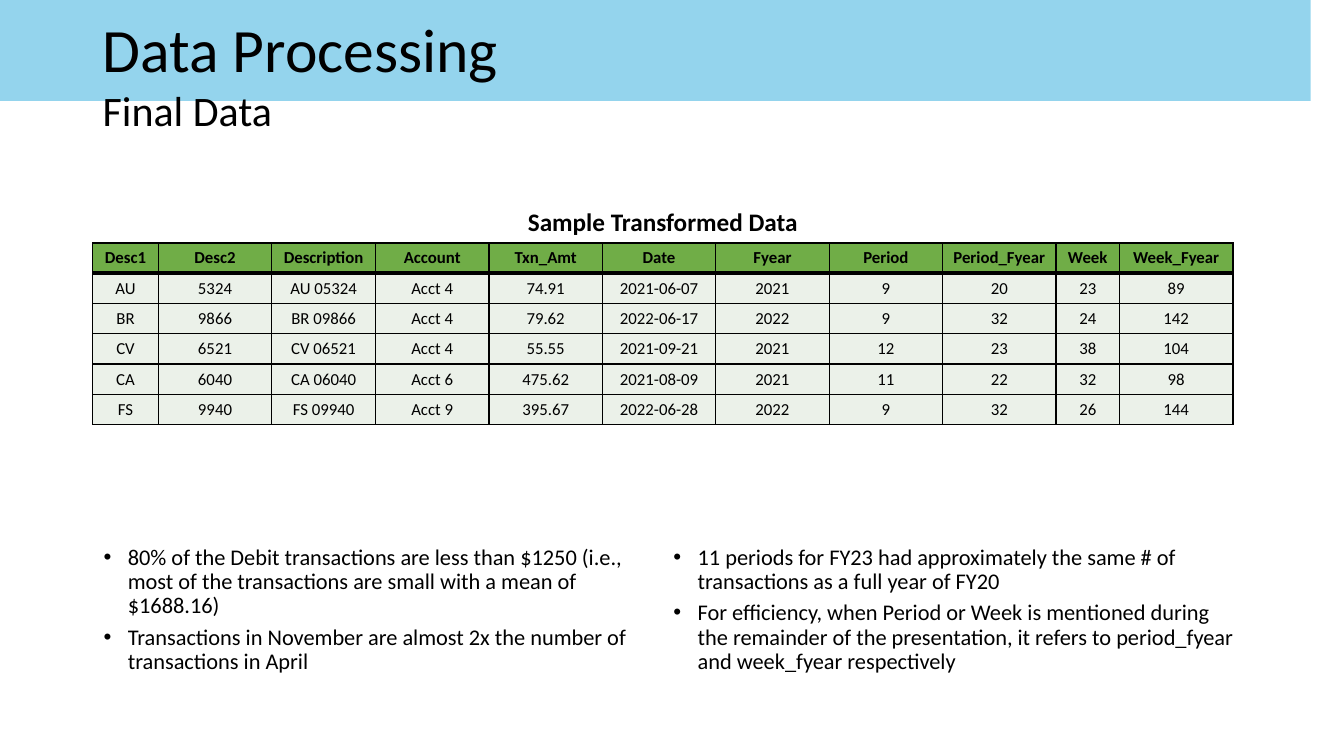
from dataclasses import dataclass

from lxml.etree import SubElement
from pptx import Presentation
from pptx.dml.color import RGBColor
from pptx.enum.text import MSO_ANCHOR, PP_ALIGN
from pptx.oxml.ns import qn
from pptx.util import Inches, Pt


@dataclass(frozen=True)
class Theme:
    font: str = "Calibri"
    ink: str = "000000"
    paper: str = "FFFFFF"
    wave: str = "67C3E6"
    head: str = "70AD47"
    body: str = "EBF1E9"
    title: int = 44
    subtitle: int = 30
    caption: int = 18
    note: int = 16
    cell: int = 12


@dataclass(frozen=True)
class Block:
    """A text box: place in inches, type size and spacing in points."""
    lines: tuple
    top: float
    height: float
    size: int
    before: int = 0
    anchor: MSO_ANCHOR = MSO_ANCHOR.TOP
    bullets: bool = False


@dataclass(frozen=True)
class Look:
    """Cell style: border widths in points, outer is the top and side colour."""
    size: int
    bold: bool = False
    fill: str = ""
    outer: str = "000000"
    top: int = 1
    bottom: int = 1


THEME = Theme()
LEFT, WIDTH = 0.92, 11.5
NOTES = (
    "80% of the Debit transactions are less than $1250 (i.e., most of the "
    "transactions are small with a mean of $1688.16)",
    "Transactions in November are almost 2x the number of transactions in April",
    "11 periods for FY23 had approximately the same # of transactions as a "
    "full year of FY20",
    "For efficiency, when Period or Week is mentioned during the remainder of "
    "the presentation, it refers to period_fyear and week_fyear respectively",
)
BLOCKS = (
    Block(("Data Processing",), 0.18, 0.68, THEME.title, anchor=MSO_ANCHOR.MIDDLE),
    Block(NOTES, 5.37, 1.55, THEME.note, before=5, bullets=True),
    Block(("Final Data",), 0.85, 0.51, THEME.subtitle, before=10),
)
CAPTION = "Sample Transformed Data"
HEADS = ("Desc1", "Desc2", "Description", "Account", "Txn_Amt", "Date", "Fyear",
         "Period", "Period_Fyear", "Week", "Week_Fyear")
ROWS = (
    ("AU", "5324", "AU 05324", "Acct 4", "74.91", "2021-06-07", "2021", "9", "20", "23", "89"),
    ("BR", "9866", "BR 09866", "Acct 4", "79.62", "2022-06-17", "2022", "9", "32", "24", "142"),
    ("CV", "6521", "CV 06521", "Acct 4", "55.55", "2021-09-21", "2021", "12", "23", "38", "104"),
    ("CA", "6040", "CA 06040", "Acct 6", "475.62", "2021-08-09", "2021", "11", "22", "32", "98"),
    ("FS", "9940", "FS 09940", "Acct 9", "395.67", "2022-06-28", "2022", "9", "32", "26", "144"),
)
TABLE_TOP, TABLE_WIDTH = 2.01, 11.31
CAPTION_HEIGHT, ROW_HEIGHT = 0.4, 0.3
NARROW = {"Desc1": 0.65, "Description": 1.03, "Week": 0.63}


def style(para, size: int, bold: bool = False) -> None:
    for run in para.runs:
        run.font.name = THEME.font
        run.font.size = Pt(size)
        run.font.bold = bold
        run.font.color.rgb = RGBColor.from_string(THEME.ink)


def curve(start: tuple, pull: tuple, push: tuple, end: tuple, steps: int = 30) -> list:
    """Points along a cubic Bezier curve, without its start."""
    points = []
    for step in range(1, steps + 1):
        t = step / steps
        parts = ((1 - t) ** 3, 3 * t * (1 - t) ** 2, 3 * t * t * (1 - t), t ** 3)
        points.append(tuple(sum(part * spot[axis] for part, spot in
                                zip(parts, (start, pull, push, end)))
                            for axis in (0, 1)))
    return points


def draw_wave(slide) -> None:
    crest = (3.52, 1.45)
    points = [(13.33, 0), (13.33, 0.94), (13.31, 0.94)]
    points += curve(points[-1], (11.19, 1.25), (7.6, 1.45), crest)
    points += curve(crest, (2.3, 1.45), (1.13, 1.43), (0.02, 1.4))
    points.append((0, 1.4))
    pen = slide.shapes.build_freeform(0, 0, scale=Inches(1))
    pen.add_line_segments(points, close=True)
    wave = pen.convert_to_shape()
    wave.shadow.inherit = False
    wave.line.fill.background()
    wave.fill.solid()
    wave.fill.fore_color.rgb = RGBColor.from_string(THEME.wave)
    tint = wave.fill._xPr.find(qn("a:solidFill"))[0]
    SubElement(tint, qn("a:alpha"), val="70000")


def add_bullet(para) -> None:
    props = para._p.get_or_add_pPr()
    props.set("marL", str(Inches(0.25)))
    props.set("indent", str(Inches(-0.24)))
    SubElement(props, qn("a:buFont"), typeface="Arial")
    SubElement(props, qn("a:buChar"), char="•")


def draw_block(slide, block: Block) -> None:
    box = slide.shapes.add_textbox(Inches(LEFT), Inches(block.top),
                                   Inches(WIDTH), Inches(block.height))
    frame = box.text_frame
    frame.word_wrap = True
    frame.vertical_anchor = block.anchor
    frame.text = "\n".join(block.lines)
    if block.bullets:
        frame._txBody.bodyPr.set("numCol", "2")
    for para in frame.paragraphs:
        para.line_spacing = 0.9
        para.space_before = Pt(block.before)
        style(para, block.size)
        if block.bullets:
            add_bullet(para)


def draw_cell(cell, text: str, look: Look) -> None:
    cell.text = text
    para = cell.text_frame.paragraphs[0]
    para.alignment = PP_ALIGN.CENTER
    style(para, look.size, look.bold)
    props = cell._tc.get_or_add_tcPr()
    for side, color, width in (("L", look.outer, 1), ("R", look.outer, 1),
                               ("T", look.outer, look.top),
                               ("B", THEME.ink, look.bottom)):
        edge = SubElement(props, qn(f"a:ln{side}"), w=str(Pt(width)))
        SubElement(SubElement(edge, qn("a:solidFill")), qn("a:srgbClr"), val=color)
    if look.fill:
        cell.fill.solid()
        cell.fill.fore_color.rgb = RGBColor.from_string(look.fill)
    else:
        cell.fill.background()


def draw_table(slide) -> None:
    height = CAPTION_HEIGHT + ROW_HEIGHT * (len(ROWS) + 1)
    table = slide.shapes.add_table(len(ROWS) + 2, len(HEADS), Inches(LEFT),
                                   Inches(TABLE_TOP), Inches(TABLE_WIDTH),
                                   Inches(height)).table
    table.first_row = table.horz_banding = False
    wide = (TABLE_WIDTH - sum(NARROW.values())) / (len(HEADS) - len(NARROW))
    for column, head in zip(table.columns, HEADS):
        column.width = Inches(NARROW.get(head, wide))
    for index, row in enumerate(table.rows):
        row.height = Inches(ROW_HEIGHT if index else CAPTION_HEIGHT)

    table.cell(0, 0).merge(table.cell(0, len(HEADS) - 1))
    draw_cell(table.cell(0, 0), CAPTION, Look(THEME.caption, True, outer=THEME.paper))
    for r, texts in enumerate((HEADS, *ROWS), 1):
        if r == 1:
            look = Look(THEME.cell, True, THEME.head, bottom=3)
        else:
            look = Look(THEME.cell, fill=THEME.body, top=3 if r == 2 else 1)
        for c, text in enumerate(texts):
            draw_cell(table.cell(r, c), text, look)


def main() -> None:
    deck = Presentation()
    deck.slide_width, deck.slide_height = Inches(13.33), Inches(7.5)
    slide = deck.slides.add_slide(deck.slide_layouts[6])
    draw_wave(slide)
    for block in BLOCKS:
        draw_block(slide, block)
    draw_table(slide)
    deck.save("out.pptx")


if __name__ == "__main__":
    main()
